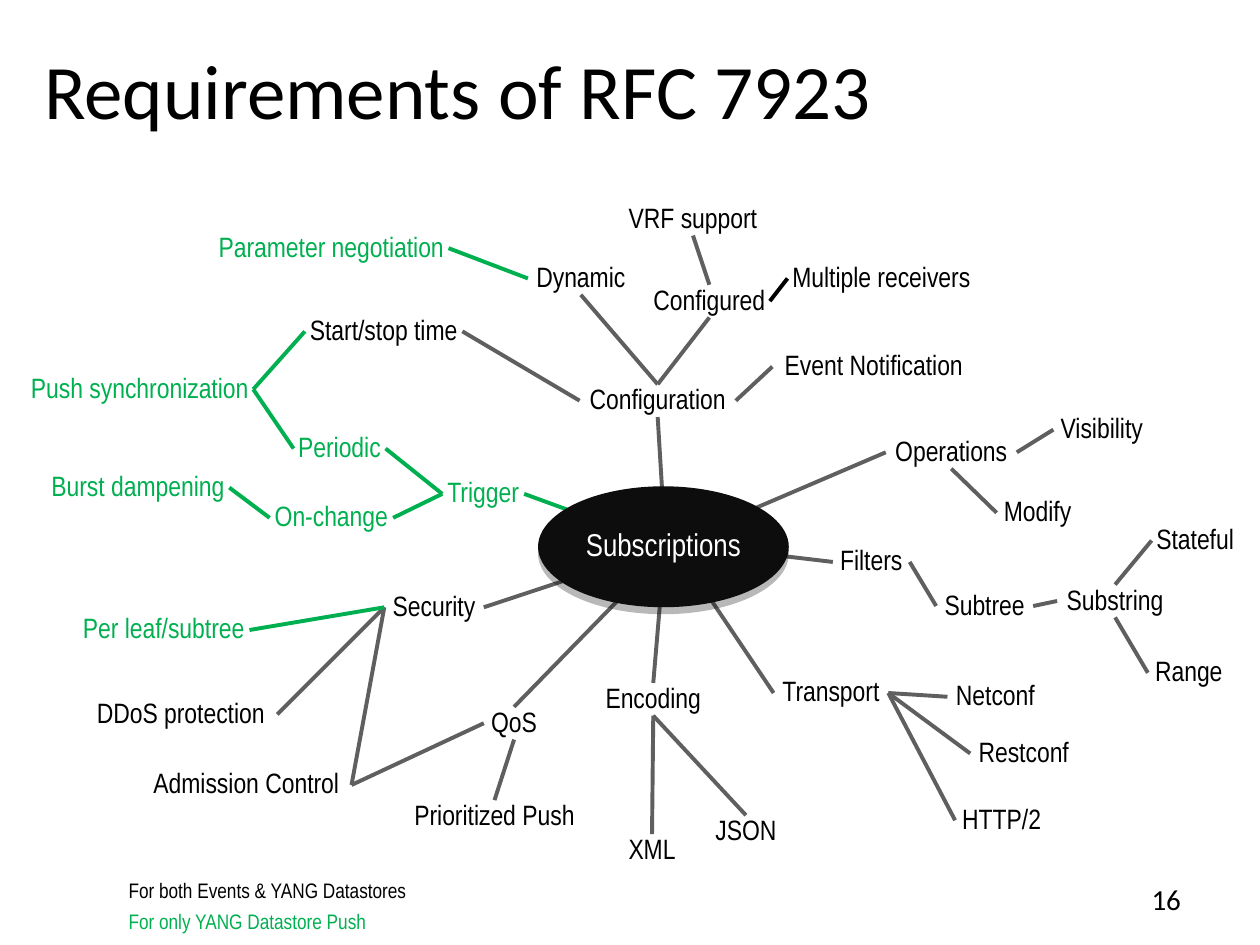
import pptx
import pptx.util
import pptx.oxml
import pptx.oxml.ns
from pptx.dml.color import RGBColor
from pptx.enum.shapes import MSO_CONNECTOR, MSO_SHAPE
from pptx.enum.text import MSO_ANCHOR, MSO_AUTO_SIZE, PP_ALIGN

BLACK = RGBColor(0x00, 0x00, 0x00)
GREEN = RGBColor(0x00, 0xB0, 0x50)
GRAY = RGBColor(0x5F, 0x5F, 0x5F)
HUB_FILL = RGBColor(0x0D, 0x0D, 0x0D)
WHITE = RGBColor(0xFF, 0xFF, 0xFF)

LABEL_HEIGHT = 0.26
TOPIC_INSETS = (0.01, 0.01)
LEGEND_INSETS = (0.04, 0.01)
HUB_BOX = (4.27, 3.86, 1.99, 0.96)
TOP, LEFT, BOTTOM, RIGHT = range(4)

# Topic: left, top, width, gap between its left or right side and a line
EVENT_TOPICS = {
    "Configuration": (4.64, 3.05, 1.16, 0.04),
    "Dynamic": (4.22, 2.08, 0.78, 0.03),
    "Configured": (5.15, 2.26, 0.96, 0),
    "VRF support": (4.95, 1.61, 1.1, 0),
    "Multiple receivers": (6.25, 2.08, 1.49, 0),
    "Start/stop time": (2.42, 2.5, 1.25, 0),
    "Event Notification": (6.19, 2.78, 1.49, 0.06),
    "Operations": (7.07, 3.46, 0.96, 0.04),
    "Visibility": (8.38, 3.28, 0.73, 0.02),
    "Modify": (7.93, 3.94, 0.61, 0.02),
    "Filters": (6.63, 4.33, 0.57, 0.02),
    "Subtree": (7.46, 4.68, 0.71, 0.03),
    "Substring": (8.43, 4.64, 0.84, 0.04),
    "Stateful": (9.14, 4.16, 0.69, 0),
    "Range": (9.13, 5.21, 0.61, 0.02),
    "Transport": (6.17, 5.37, 0.85, 0.03),
    "Netconf": (7.55, 5.4, 0.7, 0.03),
    "Restconf": (7.73, 5.85, 0.79, 0.03),
    "HTTP/2": (7.6, 6.38, 0.7, 0.02),
    "Encoding": (4.77, 5.42, 0.83, 0),
    "JSON": (5.64, 6.47, 0.56, 0),
    "XML": (4.95, 6.62, 0.45, 0),
    "QoS": (3.86, 5.61, 0.44, 0.02),
    "Prioritized Push": (3.25, 6.35, 1.35, 0),
    "Security": (3.08, 4.69, 0.73, 0.03),
    "DDoS protection": (0.73, 5.54, 1.41, 0.06),
    "Admission Control": (1.18, 6.1, 1.55, 0.06),
}
DATASTORE_TOPICS = {
    "Trigger": (3.51, 3.79, 0.65, 0),
    "Periodic": (2.33, 3.43, 0.73, 0),
    "On-change": (2.14, 3.98, 0.98, 0),
    "Push synchronization": (0.21, 2.96, 1.8, 0),
    "Burst dampening": (0.37, 3.74, 1.45, 0),
    "Parameter negotiation": (1.7, 1.84, 1.86, 0),
    "Per leaf/subtree": (0.62, 4.87, 1.36, 0),
}
TOPICS = EVENT_TOPICS | DATASTORE_TOPICS

# Topic, side the line meets, inner end under the hub
SPOKES = [
    ("Configuration", BOTTOM, (5.28, 4.3)),
    ("Operations", LEFT, (5.23, 4.36)),
    ("Filters", LEFT, (5.34, 4.31)),
    ("Transport", LEFT, (5.36, 4.34)),
    ("Encoding", TOP, (5.28, 4.3)),
    ("QoS", TOP, (5.28, 4.38)),
    ("Security", RIGHT, (5.23, 4.36)),
    ("Trigger", RIGHT, (5.23, 4.31)),
]
BRANCHES = [
    ("Configuration", TOP, "Dynamic", BOTTOM),
    ("Configuration", TOP, "Configured", BOTTOM),
    ("Configuration", LEFT, "Start/stop time", RIGHT),
    ("Configuration", RIGHT, "Event Notification", LEFT),
    ("Configured", TOP, "VRF support", BOTTOM),
    ("Configured", RIGHT, "Multiple receivers", LEFT),
    ("Dynamic", LEFT, "Parameter negotiation", RIGHT),
    ("Start/stop time", LEFT, "Push synchronization", RIGHT),
    ("Push synchronization", RIGHT, "Periodic", LEFT),
    ("Trigger", LEFT, "Periodic", RIGHT),
    ("Trigger", LEFT, "On-change", RIGHT),
    ("On-change", LEFT, "Burst dampening", RIGHT),
    ("Operations", RIGHT, "Visibility", LEFT),
    ("Operations", BOTTOM, "Modify", LEFT),
    ("Filters", RIGHT, "Subtree", LEFT),
    ("Subtree", RIGHT, "Substring", LEFT),
    ("Substring", TOP, "Stateful", LEFT),
    ("Substring", BOTTOM, "Range", LEFT),
    ("Transport", RIGHT, "Netconf", LEFT),
    ("Transport", RIGHT, "Restconf", LEFT),
    ("Transport", RIGHT, "HTTP/2", LEFT),
    ("Encoding", BOTTOM, "JSON", TOP),
    ("Encoding", BOTTOM, "XML", TOP),
    ("QoS", BOTTOM, "Prioritized Push", TOP),
    ("Admission Control", RIGHT, "QoS", LEFT),
    ("Security", LEFT, "Admission Control", RIGHT),
    ("Security", LEFT, "DDoS protection", RIGHT),
    ("Security", LEFT, "Per leaf/subtree", RIGHT),
]
LEGEND = [("For both Events & YANG Datastores", BLACK),
          ("For only YANG Datastore Push", GREEN)]


def inches(values):
    return [pptx.util.Inches(value) for value in values]


def format_frame(frame, insets, **settings):
    horizontal, vertical = inches(insets)
    settings |= {"margin_left": horizontal, "margin_right": horizontal,
                 "margin_top": vertical, "margin_bottom": vertical}
    for name, value in settings.items():
        setattr(frame, name, value)


def write(paragraph, text, size, color, font="Arial Narrow", **settings):
    paragraph.text = text
    for name, value in settings.items():
        setattr(paragraph, name, value)
    for name, value in {"size": pptx.util.Pt(size), "name": font}.items():
        setattr(paragraph.font, name, value)
    paragraph.font.color.rgb = color


def add_label(slide, box, insets, lines, size, alignment):
    shape = slide.shapes.add_textbox(*inches(box))
    frame = shape.text_frame
    format_frame(frame, insets, word_wrap=False,
                 auto_size=MSO_AUTO_SIZE.SHAPE_TO_FIT_TEXT)
    for index, (text, color) in enumerate(lines):
        paragraph = frame.add_paragraph() if index else frame.paragraphs[0]
        write(paragraph, text, size, color, alignment=alignment, line_spacing=0.9)
        if index:
            paragraph.space_before = pptx.util.Pt(4.5)
    return shape


def side_point(topic, side):
    left, top, width, gap = TOPICS[topic]
    x = {LEFT: left - gap, RIGHT: left + width + gap}.get(side, left + width / 2)
    y = {TOP: top, BOTTOM: top + LABEL_HEIGHT}.get(side, top + LABEL_HEIGHT / 2)
    return x, y


def add_line(slide, start, end, color):
    connector = slide.shapes.add_connector(MSO_CONNECTOR.STRAIGHT, *inches(start + end))
    connector.line.color.rgb = color
    connector.line.width = pptx.util.Pt(2.25)
    connector._element.spPr.append(pptx.oxml.parse_xml(
        f'<a:effectLst {pptx.oxml.ns.nsdecls("a")}/>'))
    return connector


def is_flush(topic, side):
    return side in (TOP, BOTTOM) or TOPICS[topic][3] == 0


def link_color(*topics):
    if any(topic in DATASTORE_TOPICS for topic in topics):
        return GREEN
    return BLACK if "Multiple receivers" in topics else GRAY


def add_hub(slide):
    hub = slide.shapes.add_shape(MSO_SHAPE.OVAL, *inches(HUB_BOX))
    hub.fill.solid()
    hub.fill.fore_color.rgb = HUB_FILL
    hub.line.fill.background()
    hub._element.spPr.append(pptx.oxml.parse_xml(
        f'<a:effectLst {pptx.oxml.ns.nsdecls("a")}>'
        '<a:outerShdw blurRad="0" dist="50800" dir="5400000" rotWithShape="0">'
        '<a:srgbClr val="000000"><a:alpha val="27000"/></a:srgbClr>'
        '</a:outerShdw></a:effectLst>'))
    format_frame(hub.text_frame, (0.08, 0.04), word_wrap=True,
                 vertical_anchor=MSO_ANCHOR.MIDDLE)
    write(hub.text_frame.paragraphs[0], "Subscriptions", 18, WHITE,
          alignment=PP_ALIGN.CENTER, line_spacing=0.9)


def main():
    presentation = pptx.Presentation()
    presentation.slide_width, presentation.slide_height = inches((10, 7.5))
    slide = presentation.slides.add_slide(presentation.slide_layouts[5])

    title = slide.shapes.title
    title.left, title.top, title.width, title.height = inches((0.25, 0.31, 9.38, 0.92))
    format_frame(title.text_frame, (0.1, 0.05), word_wrap=True,
                 vertical_anchor=MSO_ANCHOR.MIDDLE)
    write(title.text_frame.paragraphs[0], "Requirements of RFC 7923", 44, BLACK,
          "Calibri", alignment=PP_ALIGN.LEFT, line_spacing=0.8)

    labels = {}
    for topic, (left, top, width, _) in TOPICS.items():
        color = GREEN if topic in DATASTORE_TOPICS else BLACK
        labels[topic] = add_label(slide, (left, top, width, LABEL_HEIGHT), TOPIC_INSETS,
                                  [(topic, color)], 16, PP_ALIGN.CENTER)

    for topic, side, inner_end in SPOKES:
        line = add_line(slide, side_point(topic, side), inner_end, link_color(topic))
        if is_flush(topic, side):
            line.begin_connect(labels[topic], side)
    for parent, parent_side, child, child_side in BRANCHES:
        line = add_line(slide, side_point(parent, parent_side),
                        side_point(child, child_side), link_color(parent, child))
        if is_flush(parent, parent_side):
            line.begin_connect(labels[parent], parent_side)
        if is_flush(child, child_side):
            line.end_connect(labels[child], child_side)
    add_hub(slide)

    add_label(slide, (0.98, 6.98, 2.29, 0.44), LEGEND_INSETS, LEGEND, 12, PP_ALIGN.LEFT)
    number = slide.shapes.add_textbox(*inches((8.85, 6.95, 0.62, 0.4)))
    format_frame(number.text_frame, (0.1, 0.05), word_wrap=True)
    write(number.text_frame.paragraphs[0], "16", 16.6, BLACK, "Calibri",
          alignment=PP_ALIGN.RIGHT)
    presentation.save("out.pptx")


if __name__ == "__main__":
    main()
